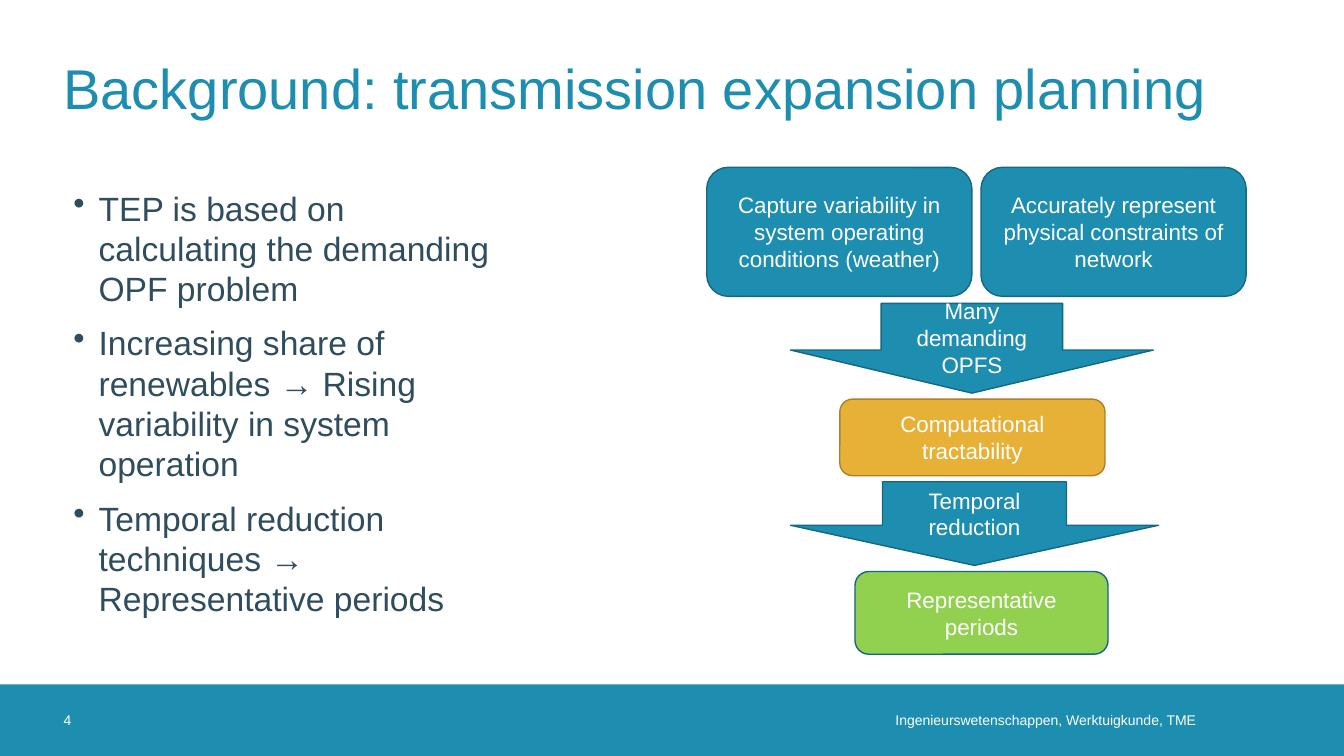
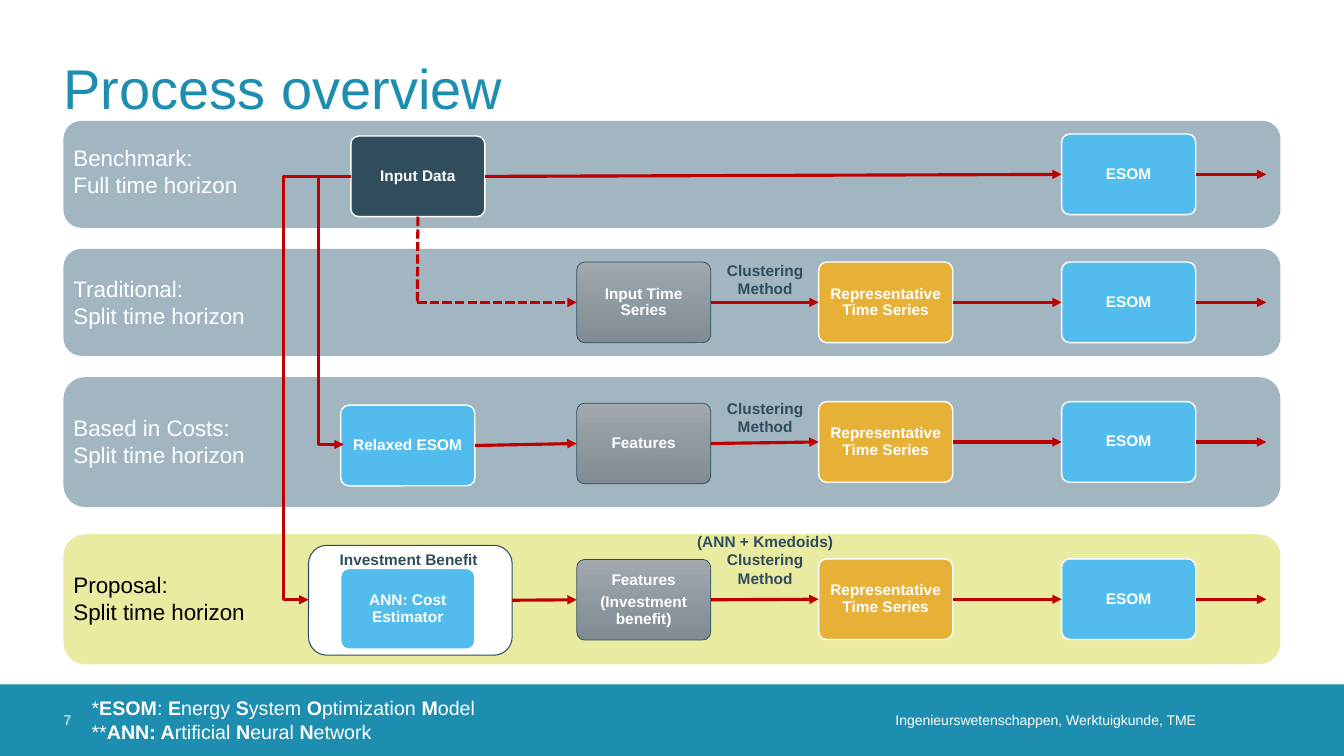
import lxml.etree
import pptx
import pptx.dml.color
import pptx.enum.dml
import pptx.enum.shapes
import pptx.enum.text
import pptx.oxml.ns
import pptx.util

SHAPE = pptx.enum.shapes.MSO_SHAPE
CONNECTOR = pptx.enum.shapes.MSO_CONNECTOR
ALIGN = pptx.enum.text.PP_ALIGN
ANCHOR = pptx.enum.text.MSO_ANCHOR
TOP, LEFT, BOTTOM, RIGHT = range(4)

EMU_PER_PX = 9144
WIDTH, HEIGHT = 1333, 750
MARGIN, CONTENT_WIDTH = 63, 1207
FOOTER_TOP, FOOTER_HEIGHT = 679, 71
BOX_WIDTH, BOX_HEIGHT = 133, 80

TEAL, TEAL_EDGE = "1D8DB0", "156882"
NAVY, WHITE, BLACK = "2F4D5D", "FFFFFF", "000000"
SKY, GOLD, GOLD_EDGE, GREEN = "52BDEC", "E7B037", "AB8229", "92D050"
SLATE, LIME, RED = "466E87", "D4D842", "C00000"
GREY = ("A1A8AE", "808B93")


def px(length):
    return pptx.util.Emu(round(length * EMU_PER_PX))


def color(value):
    return pptx.dml.color.RGBColor.from_string(value)


def add_xml(parent, tag, **attributes):
    return lxml.etree.SubElement(parent, pptx.oxml.ns.qn(tag), attributes)


class Deck:
    """Holds the presentation style and the slide being drawn."""

    font = "Arial"
    footer = "Ingenieurswetenschappen, Werktuigkunde, TME"

    def __init__(self):
        self.presentation = pptx.Presentation()
        self.presentation.slide_width = px(WIDTH)
        self.presentation.slide_height = px(HEIGHT)
        self.slide = None

    def new_slide(self, title, number):
        layout = self.presentation.slide_layouts[5]
        self.slide = self.presentation.slides.add_slide(layout)
        placeholder = self.slide.shapes.title
        placeholder.left, placeholder.top = px(MARGIN), px(23)
        placeholder.width, placeholder.height = px(CONTENT_WIDTH), px(126)
        self.set_text(placeholder, [title], 40, TEAL, anchor=ANCHOR.MIDDLE, insets=(0, 0, 0, 0))
        self.shape((0, FOOTER_TOP, WIDTH, FOOTER_HEIGHT), TEAL, kind=SHAPE.RECTANGLE)
        self.text((660, FOOTER_TOP, 546, FOOTER_HEIGHT), [self.footer], 10, WHITE,
                  align=ALIGN.RIGHT, anchor=ANCHOR.MIDDLE, insets=(0, 0, 20, 0))
        self.text((MARGIN, FOOTER_TOP, 71, FOOTER_HEIGHT), [number], 10, WHITE,
                  anchor=ANCHOR.MIDDLE, insets=(0, 0, 0, 0))

    def set_text(self, shape, lines, size, ink, bold=False, align=ALIGN.LEFT,
                 anchor=ANCHOR.TOP, insets=(10, 5, 10, 5), wrap=True):
        frame = shape.text_frame
        frame.word_wrap = wrap
        frame.auto_size = pptx.enum.text.MSO_AUTO_SIZE.NONE
        frame.vertical_anchor = anchor
        frame.margin_left, frame.margin_top, frame.margin_right, frame.margin_bottom = map(px, insets)
        for index, line in enumerate(lines):
            paragraph = frame.paragraphs[0] if index == 0 else frame.add_paragraph()
            paragraph.alignment = align
            for position, part in enumerate(line.split("|")):
                run = paragraph.add_run()
                run.text = part
                run.font.name = self.font
                run.font.size = pptx.util.Pt(size)
                run.font.bold = bold or position % 2 == 1
                run.font.color.rgb = color(ink)
        return frame.paragraphs

    def text(self, area, lines, size, ink, **style):
        text_box = self.slide.shapes.add_textbox(*map(px, area))
        return self.set_text(text_box, lines, size, ink, **style)

    def bullets(self, area, lines):
        for paragraph in self.text(area, lines, 24, NAVY):
            paragraph.space_before = pptx.util.Pt(10)
            properties = paragraph._p.get_or_add_pPr()
            properties.set("marL", str(px(25)))
            properties.set("indent", str(px(-25)))
            add_xml(properties, "a:buChar", char="•")

    def shape(self, area, fill, edge=None, edge_width=1, kind=SHAPE.ROUNDED_RECTANGLE,
              adjustments=(), alpha=None):
        shape = self.slide.shapes.add_shape(kind, *map(px, area))
        shape.shadow.inherit = False
        for index, value in enumerate(adjustments):
            shape.adjustments[index] = value
        if isinstance(fill, tuple):
            shape.fill.gradient()
            shape.fill.gradient_angle = 270
            for index, stop_color in enumerate(fill):
                stop = shape.fill.gradient_stops[index]
                stop.color.rgb = color(stop_color)
                stop.position = index
        else:
            shape.fill.solid()
            shape.fill.fore_color.rgb = color(fill)
        if alpha:
            value = shape._element.spPr.find(".//" + pptx.oxml.ns.qn("a:srgbClr"))
            add_xml(value, "a:alpha", val=str(alpha * 1000))
        if edge:
            shape.line.color.rgb = color(edge)
            shape.line.width = pptx.util.Pt(edge_width)
        else:
            shape.line.fill.background()
        return shape

    def flow_shape(self, area, line, fill=TEAL, edge=TEAL_EDGE, **style):
        shape = self.shape(area, fill, edge, **style)
        self.set_text(shape, [line], 16, WHITE, align=ALIGN.CENTER, anchor=ANCHOR.MIDDLE)

    def box(self, left, top, lines, fill):
        edge, edge_width = (NAVY, 0.5) if fill == GREY else (WHITE, 1)
        shape = self.shape((left, top, BOX_WIDTH, BOX_HEIGHT), fill, edge, edge_width,
                           adjustments=(0.1,))
        paragraphs = self.set_text(shape, lines, 11, WHITE, bold=True, align=ALIGN.CENTER,
                                   anchor=ANCHOR.MIDDLE, insets=(5, 5, 5, 5))
        for paragraph in paragraphs:
            paragraph.line_spacing = 0.9
            paragraph.space_after = pptx.util.Pt(4)
        return shape

    def connector(self, start, end, via=None, dashed=False, head=True):
        kind = CONNECTOR.STRAIGHT if via is None else CONNECTOR.ELBOW
        points = [(0, 0) if hasattr(point[0], "shape_id") else point for point in (start, end)]
        connector = self.slide.shapes.add_connector(kind, *map(px, points[0] + points[1]))
        for point, join in ((start, connector.begin_connect), (end, connector.end_connect)):
            if hasattr(point[0], "shape_id"):
                join(*point)
        if via is not None:
            bend = round((start[0] - via) / (start[0] - end[0]) * 100000)
            guides = connector._element.spPr.prstGeom.get_or_add_avLst()
            add_xml(guides, "a:gd", name="adj1", fmla=f"val {bend}")
        connector.line.color.rgb = color(RED)
        connector.line.width = pptx.util.Pt(2.25)
        if dashed:
            connector.line.dash_style = pptx.enum.dml.MSO_LINE.SQUARE_DOT
        if head:
            add_xml(connector.line._get_or_add_ln(), "a:tailEnd", type="triangle")
        add_xml(connector._element.spPr, "a:effectLst")

    def arrow(self, source, target):
        self.connector((source, RIGHT), (target, LEFT))


def background_slide(deck):
    deck.new_slide("Background: transmission expansion planning", "4")
    deck.bullets((MARGIN, 181, 447, 488), [
        "TEP is based on calculating the demanding OPF problem",
        "Increasing share of renewables → Rising variability in system operation",
        "Temporal reduction techniques → Representative periods",
    ])
    deck.flow_shape((701, 166, 263, 128),
                    "Capture variability in system operating conditions (weather)")
    deck.flow_shape((973, 166, 263, 128),
                    "Accurately represent physical constraints of network")
    down = {"kind": SHAPE.DOWN_ARROW, "adjustments": (0.5, 0.48)}
    deck.flow_shape((784, 301, 360, 89), "Many demanding OPFS", **down)
    deck.flow_shape((833, 396, 263, 76), "Computational tractability", GOLD, GOLD_EDGE)
    deck.flow_shape((784, 478, 365, 83), "Temporal reduction", **down)
    deck.flow_shape((848, 567, 251, 82), "Representative periods", GREEN)


def process_slide(deck):
    deck.new_slide("Process overview", "7")
    deck.text((81, 686, 667, 57), [
        "*|ESOM|: |E|nergy |S|ystem |O|ptimization |M|odel",
        "**|ANN: A|rtificial |N|eural |N|etwork",
    ], 14, WHITE)

    split = "Split time horizon"
    bands = [
        (120, 106, 138, 185, ["Benchmark:", "Full time horizon"], SLATE, WHITE),
        (247, 106, 268, 192, ["Traditional:", split], SLATE, WHITE),
        (374, 129, 406, 192, ["Based in Costs:", split], SLATE, WHITE),
        (530, 129, 562, 192, ["Proposal:", split], LIME, BLACK),
    ]
    centers = []
    for top, height, label_top, label_width, label, fill, ink in bands:
        deck.shape((MARGIN, top, CONTENT_WIDTH, height), fill, alpha=50)
        deck.text((MARGIN, label_top, label_width, 64), label, 16, ink, wrap=False)
        centers.append(top + height / 2)

    models = []
    for center in centers:
        model = deck.box(1053, center - BOX_HEIGHT / 2, ["ESOM"], SKY)
        deck.connector((model, RIGHT), (1256, center))
        models.append(model)

    clustering = ["Clustering", "Method"]
    steps = [
        (260, ["Input Time Series"], (711, 254, 96, 47), clustering),
        (400, ["Features"], (711, 391, 96, 47), clustering),
        (555, ["Features", "(Investment benefit)"], (681, 523, 156, 66),
         ["(ANN + Kmedoids)"] + clustering),
    ]
    features = []
    for center, model, (top, lines, area, method) in zip(centers[1:], models[1:], steps):
        feature = deck.box(572, top, lines, GREY)
        series = deck.box(812, center - BOX_HEIGHT / 2, ["Representative Time Series"], GOLD)
        deck.arrow(feature, series)
        deck.arrow(series, model)
        deck.text(area, method, 11, NAVY, bold=True, align=ALIGN.CENTER, wrap=False)
        features.append(feature)

    input_data = deck.box(348, 135, ["Input Data"], NAVY)
    relaxed = deck.box(338, 402, ["Relaxed ESOM"], SKY)
    benefit = deck.shape((306, 541, 202, 109), WHITE, NAVY, 0.75)
    deck.box(338, 564, ["ANN: Cost Estimator"], SKY)
    deck.text((327, 541, 158, 29), ["Investment Benefit"], 11, NAVY, bold=True, wrap=False)

    deck.arrow(input_data, models[0])
    deck.arrow(relaxed, features[1])
    deck.arrow(benefit, features[2])
    corner = (414, 300)
    deck.connector((input_data, BOTTOM), corner, dashed=True, head=False)
    deck.connector(corner, (features[0], LEFT), dashed=True)
    deck.connector((348, 175), (341, 441), via=316)
    deck.connector((348, 175), (306, 595), via=281)


def main():
    deck = Deck()
    background_slide(deck)
    process_slide(deck)
    deck.presentation.save("out.pptx")


if __name__ == "__main__":
    main()
